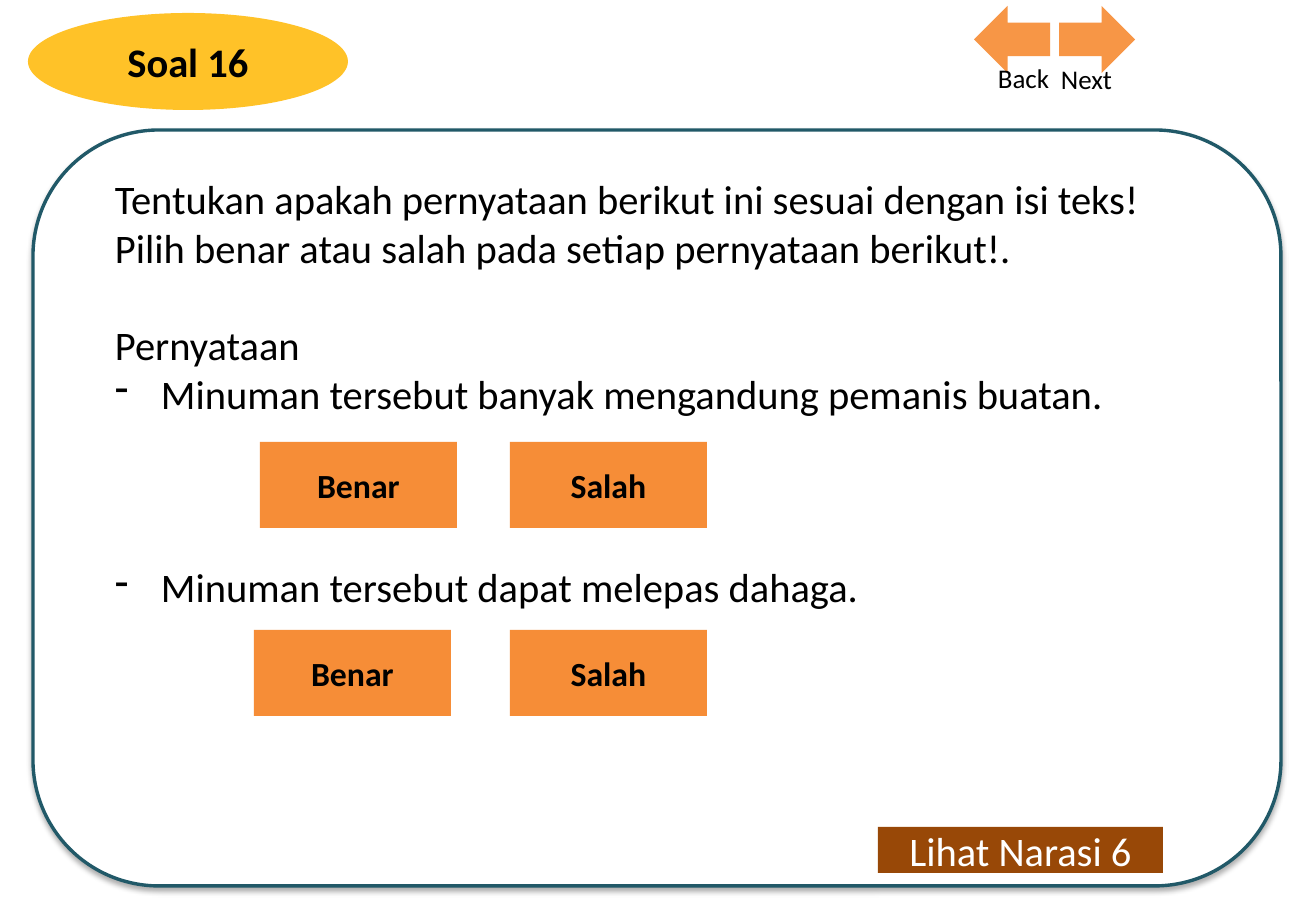
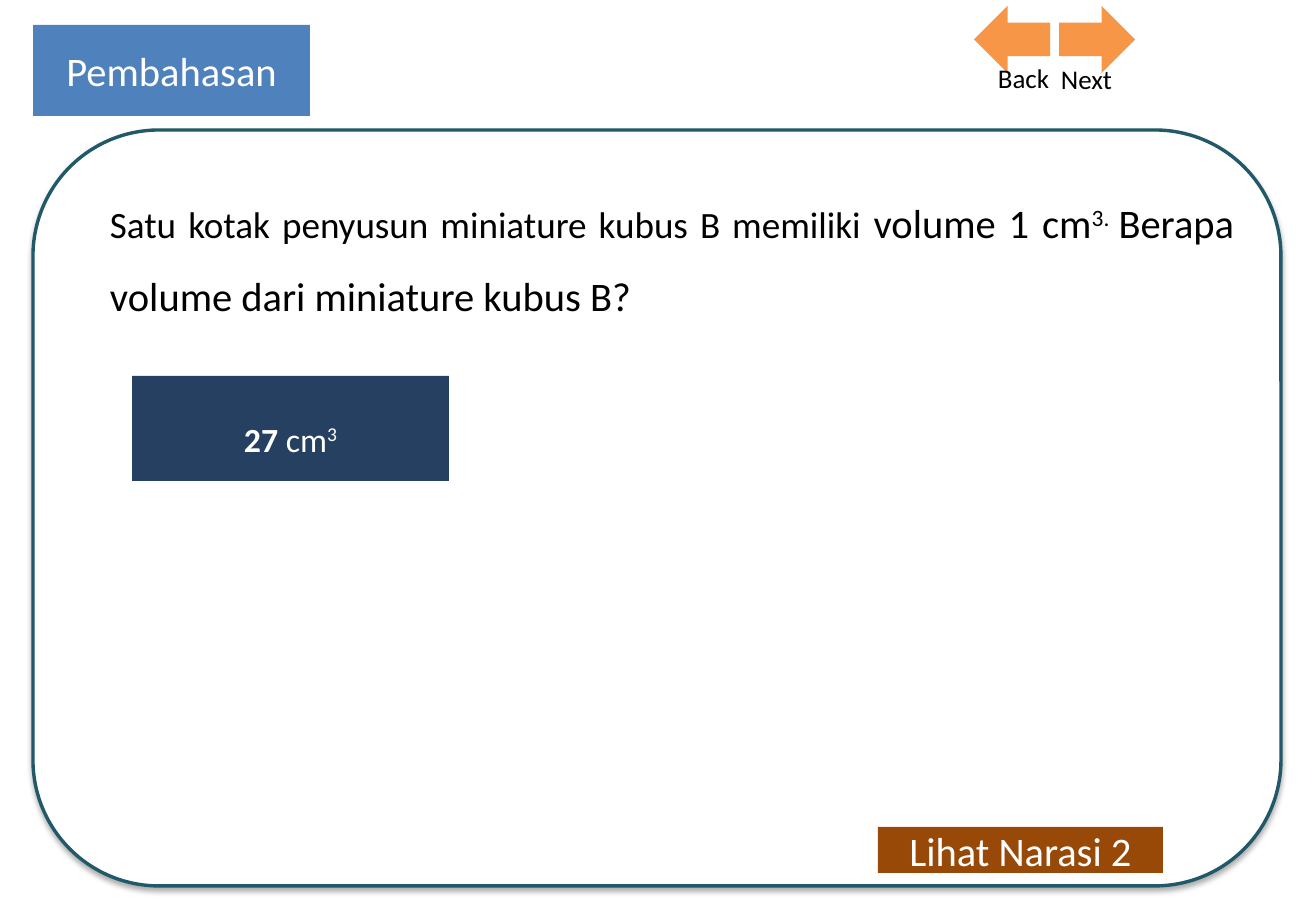
from lxml import etree
from pptx import Presentation
from pptx import util as u
from pptx.dml.color import RGBColor
from pptx.enum import shapes, text
from pptx.oxml.ns import qn

PX = 914400 / 121.5
BLACK, WHITE = "000000", "FFFFFF"
TEAL, BLUE, NAVY = "215968", "4F81BD", "254061"
YELLOW, ORANGE, ARROW, BROWN = "FFC228", "F68D37", "F79646", "984807"
SHAPE = shapes.MSO_SHAPE
LEFT, CENTER, RIGHT, JUSTIFY = (
    text.PP_ALIGN.LEFT, text.PP_ALIGN.CENTER, text.PP_ALIGN.RIGHT, text.PP_ALIGN.JUSTIFY)
color = RGBColor.from_string


def add_box(page, kind, place, fill=None):
    area = [round(value * PX) for value in place]
    if kind is None:
        box = page.shapes.add_textbox(*area)
    else:
        box = page.shapes.add_shape(kind, *area)
        box.shadow.inherit = False
        box.fill.solid()
        box.fill.fore_color.rgb = color(fill)
        box.line.fill.background()
        box.text_frame.vertical_anchor = text.MSO_ANCHOR.MIDDLE
    box.text_frame.word_wrap = True
    return box


def write(para, spans, ink, align=CENTER, spacing=None):
    para.alignment = align
    para.line_spacing = spacing
    for words, size, bold, raised in spans:
        span = para.add_run()
        span.text = words
        span.font.name = "Calibri"
        span.font.size = u.Pt(size)
        span.font.bold = bold
        span.font.color.rgb = color(ink)
        if raised:
            span.font._element.set("baseline", "30000")


deck = Presentation()
deck.slide_width = round(1316 * PX)
deck.slide_height = round(911 * PX)

slides = [
    ("Soal 16", SHAPE.OVAL, (28, 13, 320, 97), YELLOW, BLACK, True, "Lihat Narasi 6"),
    ("Pembahasan", SHAPE.RECTANGLE, (33, 25, 277, 91), BLUE, WHITE, False, "Lihat Narasi 2"),
]
pages = []
for title, kind, place, fill, ink, bold, link in slides:
    page = deck.slides.add_slide(deck.slide_layouts[6])
    pages.append(page)

    panel = add_box(page, SHAPE.ROUNDED_RECTANGLE, (33, 130, 1248, 756), WHITE)
    panel.line.color.rgb = color(TEAL)
    panel.line.width = u.Pt(2)
    effects = panel._element.spPr.find(qn("a:effectLst"))
    shadow = etree.SubElement(effects, qn("a:outerShdw"), blurRad=str(u.Pt(3.5)),
                              dist=str(u.Pt(2.2)), dir="5400000", rotWithShape="0")
    shade = etree.SubElement(shadow, qn("a:srgbClr"), val=BLACK)
    etree.SubElement(shade, qn("a:alpha"), val="32000")

    heading = add_box(page, kind, place, fill)
    write(heading.text_frame.paragraphs[0], [(title, 24, bold, False)], ink)
    button = add_box(page, SHAPE.RECTANGLE, (878, 827, 285, 46), BROWN)
    write(button.text_frame.paragraphs[0], [(link, 24, False, False)], WHITE)

    for arrow, left, label, label_left, label_top, align in [
        (SHAPE.LEFT_ARROW, 974, "Back", 891, 56, RIGHT),
        (SHAPE.RIGHT_ARROW, 1059, "Next", 1049, 57, LEFT),
    ]:
        add_box(page, arrow, (left, 6, 76, 67), ARROW)
        caption = add_box(page, None, (label_left, label_top, 170, 45))
        write(caption.text_frame.paragraphs[0], [(label, 16, False, False)], BLACK, align)

question, solution = pages

statements = add_box(question, None, (103, 168, 1148, 454)).text_frame
for index, (words, gap, bulleted) in enumerate([
    ("Tentukan apakah pernyataan berikut ini sesuai dengan isi teks!", 0, False),
    ("Pilih benar atau salah pada setiap pernyataan berikut!.", 0, False),
    ("Pernyataan", 29, False),
    ("Minuman tersebut banyak mengandung pemanis buatan.", 0, True),
    ("Minuman tersebut dapat melepas dahaga.", 86, True),
]):
    para = statements.add_paragraph() if index else statements.paragraphs[0]
    if bulleted:
        indent = round(46 * PX)
        props = para._p.get_or_add_pPr()
        props.set("marL", str(indent))
        props.set("indent", str(-indent))
        etree.SubElement(props, qn("a:buChar"), char="-")
    if gap:
        para.space_before = u.Pt(gap)
    write(para, [(words, 24, False, False)], BLACK, LEFT)

for top, true_left in [(442, 260), (630, 254)]:
    for answer, left in [("Benar", true_left), ("Salah", 510)]:
        choice = add_box(question, SHAPE.RECTANGLE, (left, top, 197, 86), ORANGE)
        write(choice.text_frame.paragraphs[0], [(answer, 20, True, False)], BLACK)

problem = add_box(solution, None, (98, 168, 1148, 159))
write(problem.text_frame.paragraphs[0], [
    ("Satu kotak penyusun miniature kubus B memiliki ", 22, False, False),
    ("volume 1 cm", 24, False, False),
    ("3. ", 24, False, True),
    ("Berapa volume dari miniature kubus B?", 24, False, False),
], BLACK, JUSTIFY, 1.5)

result = add_box(solution, SHAPE.RECTANGLE, (132, 376, 317, 105), NAVY)
write(result.text_frame.paragraphs[0], [
    ("27 ", 20, True, False),
    ("cm", 20, False, False),
    ("3", 20, False, True),
], WHITE, CENTER, 1.5)

deck.save("out.pptx")
